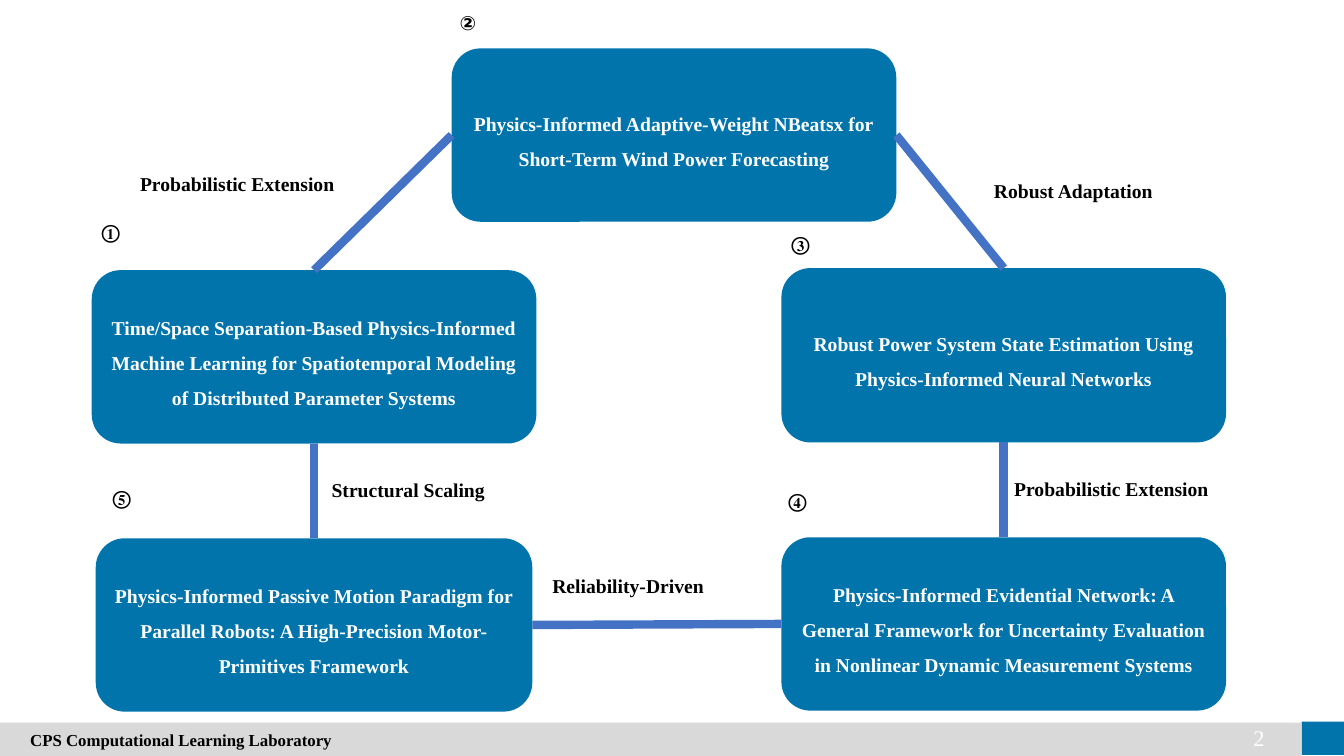
from lxml import etree
from pptx import Presentation
from pptx.dml.color import RGBColor
from pptx.enum import shapes, text
from pptx.oxml import ns
from pptx.util import Inches, Pt

COLOURS = {
    "box": "0174AB",
    "link": "4472C4",
    "footer": "D9D9D9",
    "dark": "000000",
    "light": "FFFFFF",
}
TOP, LEFT, BOTTOM, RIGHT = range(4)


class RoadmapSlide:
    font = "Times New Roman"
    size = 14

    def __init__(self, deck):
        self.page = deck.slides.add_slide(deck.slide_layouts[6])

    def colour(self, name):
        return RGBColor.from_string(COLOURS[name])

    def add_lines(self, shape, lines, colour, align=text.PP_ALIGN.LEFT,
                  size=None, bold=True, font=None, spacing=None):
        frame = shape.text_frame
        for index, line in enumerate(lines):
            para = frame.add_paragraph() if index else frame.paragraphs[0]
            para.alignment = align
            if spacing:
                para.line_spacing = spacing
            span = para.add_run()
            span.text = line
            span.font.name = font or self.font
            span.font.size = Pt(size or self.size)
            span.font.bold = bold
            span.font.color.rgb = self.colour(colour)

    def shape(self, kind, place, fill):
        shape = self.page.shapes.add_shape(kind, *map(Inches, place))
        shape.shadow.inherit = False
        shape.fill.solid()
        shape.fill.fore_color.rgb = self.colour(fill)
        shape.line.fill.background()
        shape.text_frame.word_wrap = True
        shape.text_frame.vertical_anchor = text.MSO_ANCHOR.MIDDLE
        return shape

    def bar(self, place, fill):
        return self.shape(shapes.MSO_SHAPE.RECTANGLE, place, fill)

    def topic(self, place, lines):
        box = self.shape(shapes.MSO_SHAPE.ROUNDED_RECTANGLE, place, "box")
        self.add_lines(box, lines, "light", text.PP_ALIGN.CENTER, spacing=1.5)
        return box

    def label(self, place, words, wrap=True, colour="dark", **style):
        box = self.page.shapes.add_textbox(*map(Inches, place))
        box.text_frame.word_wrap = wrap
        self.add_lines(box, [words], colour, **style)
        return box

    def link(self, start, start_side, end, end_side):
        line = self.page.shapes.add_connector(
            shapes.MSO_CONNECTOR.STRAIGHT, 0, 0, 0, 0)
        line.begin_connect(start, start_side)
        line.end_connect(end, end_side)
        line.line.color.rgb = self.colour("link")
        line.line.width = Pt(6)
        etree.SubElement(line._element.spPr, ns.qn("a:effectLst"))


def main():
    deck = Presentation()
    deck.slide_width, deck.slide_height = Inches(13.33), Inches(7.5)
    slide = RoadmapSlide(deck)

    slide.bar((12.91, 7.16, 0.42, 0.33), "box")
    footer = slide.bar((0, 7.17, 12.91, 0.33), "footer")
    footer.text_frame.margin_left = Inches(0.3)
    slide.add_lines(footer, ["CPS Computational Learning Laboratory"], "dark", size=12)
    number = slide.label((12.01, 7.12, 0.63, 0.4), "2", colour="light",
                         align=text.PP_ALIGN.RIGHT, size=16, bold=False)
    number.text_frame.vertical_anchor = text.MSO_ANCHOR.MIDDLE

    separation = slide.topic((0.91, 2.68, 4.41, 1.72), [
        "Time/Space Separation-Based Physics-Informed",
        "Machine Learning for Spatiotemporal Modeling",
        "of Distributed Parameter Systems"])
    forecasting = slide.topic((4.48, 0.48, 4.41, 1.72), [
        "Physics-Informed Adaptive-Weight NBeatsx for",
        "Short-Term Wind Power Forecasting"])
    estimation = slide.topic((7.75, 2.66, 4.41, 1.73), [
        "Robust Power System State Estimation Using "
        "Physics-Informed Neural Networks"])
    evidential = slide.topic((7.75, 5.33, 4.41, 1.72), [
        "Physics-Informed Evidential Network: A General Framework for "
        "Uncertainty Evaluation in Nonlinear Dynamic Measurement Systems"])
    robots = slide.topic((0.95, 5.34, 4.33, 1.72), [
        "Physics-Informed Passive Motion Paradigm for Parallel Robots: "
        "A High-Precision Motor-Primitives Framework"])

    slide.link(robots, TOP, separation, BOTTOM)
    slide.link(forecasting, LEFT, separation, TOP)
    slide.link(estimation, TOP, forecasting, RIGHT)
    slide.link(estimation, BOTTOM, evidential, TOP)
    slide.link(evidential, LEFT, robots, RIGHT)

    for mark, left, top, font in (
        ("①", 0.91, 2.13, None),
        ("②", 4.46, 0.06, "Arial"),
        ("③", 7.75, 2.25, None),
        ("④", 7.72, 4.8, None),
        ("⑤", 1.02, 4.77, None),
    ):
        slide.label((left, top, 0.4, 0.34), mark, wrap=False, font=font)

    for words, left, top, width in (
        ("Probabilistic Extension", 1.29, 1.66, 6.68),
        ("Robust Adaptation", 9.76, 1.73, 2.14),
        ("Structural Scaling", 3.19, 4.69, 2.05),
        ("Probabilistic Extension", 9.96, 4.68, 3.09),
        ("Reliability-Driven", 5.38, 5.64, 2.46),
    ):
        slide.label((left, top, width, 0.34), words)

    deck.save("out.pptx")


if __name__ == "__main__":
    main()
